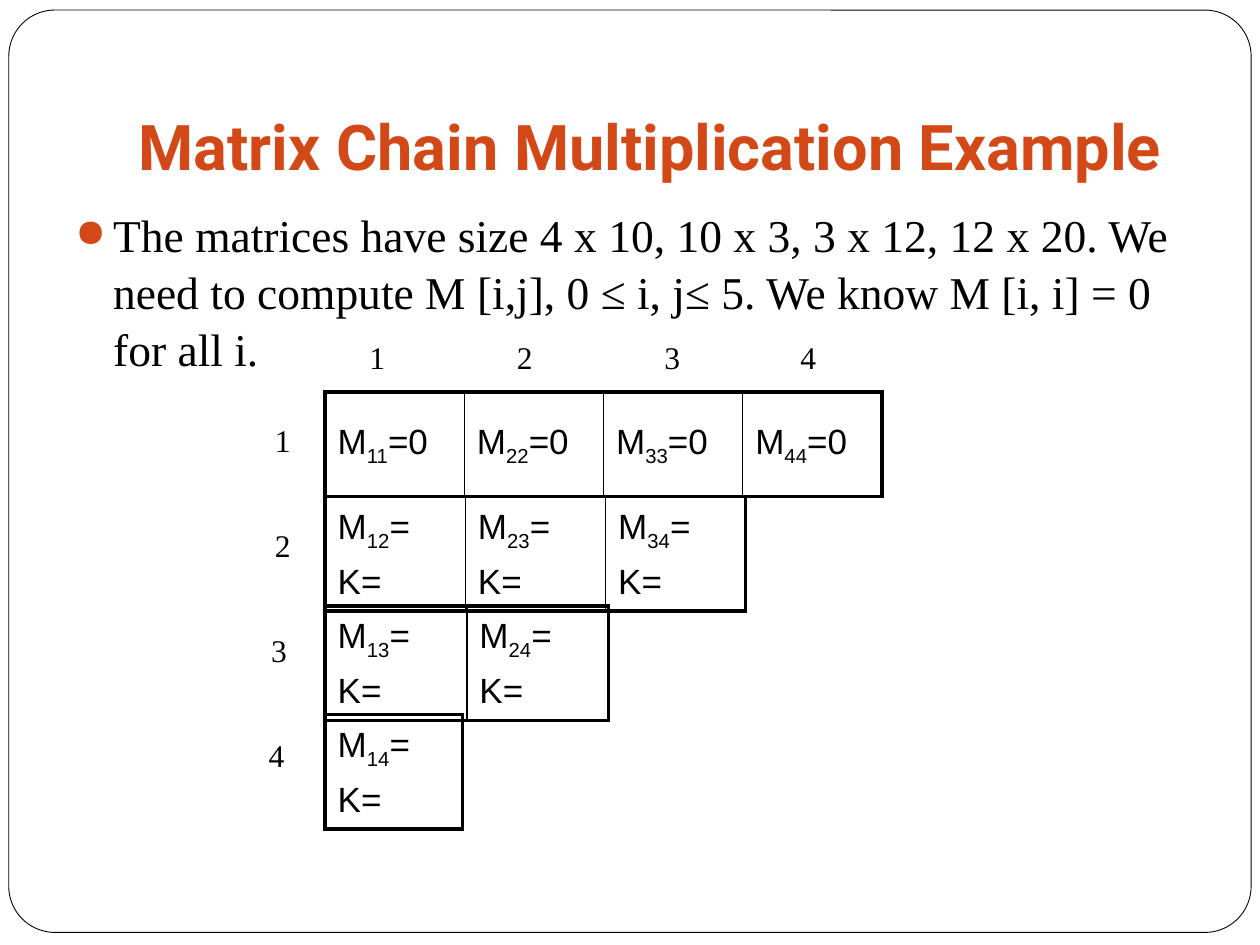
from lxml import etree
from pptx import Presentation
from pptx import util as u
from pptx.dml.color import RGBColor
from pptx.enum import shapes, text
from pptx.oxml import ns

INK, RUST, WHITE = "000000", "D34817", "FFFFFF"
SERIF = "Times New Roman"


def color(code):
    return RGBColor.from_string(code)


def put(item, vals):
    for key, val in vals.items():
        setattr(item, key, val)


def box(*nums):
    return [u.Inches(n) for n in nums]


def node(root, tag, **vals):
    return etree.SubElement(root, ns.qn(tag), vals)


class Deck:
    """Holds the style and the current slide."""

    def __init__(self):
        self.prs = Presentation()
        put(self.prs, {"slide_width": u.Inches(10), "slide_height": u.Inches(7.5)})
        self.page = self.prs.slides.add_slide(self.prs.slide_layouts[5])

    def words(self, para, line, size, face=SERIF, ink=INK, bold=False):
        run = para.add_run()
        run.text = line
        put(run.font, {"size": u.Pt(size), "name": face, "bold": bold})
        run.font.color.rgb = color(ink)
        return run

    def shape(self, kind, spot, line, width):
        item = self.page.shapes.add_shape(kind, *box(*spot))
        item.shadow.inherit = False
        item.fill.solid()
        item.fill.fore_color.rgb = color(WHITE)
        item.line.color.rgb = color(line)
        item.line.width = u.Pt(width)
        return item

    def frame(self):
        item = self.shape(shapes.MSO_SHAPE.ROUNDED_RECTANGLE,
                          (0.07, 0.08, 9.86, 7.32), INK, 0.5)
        item.adjustments[0] = 0.05
        self.page.shapes._spTree.insert(2, item._element)

    def title(self, line):
        item = self.page.shapes.title
        names = ("left", "top", "width", "height")
        put(item, dict(zip(names, box(1, 0.3, 8.5, 1.25))))
        put(item.text_frame, {"vertical_anchor": text.MSO_ANCHOR.BOTTOM,
                              "auto_size": text.MSO_AUTO_SIZE.NONE,
                              "margin_bottom": u.Inches(0.1)})
        para = item.text_frame.paragraphs[0]
        para.alignment = text.PP_ALIGN.LEFT
        self.words(para, line, 36, "Roboto", RUST, True)

    def bullet(self, line):
        item = self.page.shapes.add_textbox(*box(0.5, 1.58, 9, 1.25))
        item.text_frame.word_wrap = True
        para = item.text_frame.paragraphs[0]
        put(para, {"space_before": u.Pt(5.8), "line_spacing": 1.04})
        props = para._p.get_or_add_pPr()
        props.set("marL", str(u.Inches(0.3)))
        props.set("indent", str(u.Inches(-0.3)))
        node(node(props, "a:buClr"), "a:srgbClr", val=RUST)
        node(props, "a:buSzPct", val="85000")
        node(props, "a:buChar", char="●")
        self.words(para, line, 26)

    def label(self, line, left, top):
        item = self.shape(shapes.MSO_SHAPE.RECTANGLE,
                          (left, top, 0.33, 0.33), WHITE, 0.75)
        put(item.text_frame, {"word_wrap": False,
                              "vertical_anchor": text.MSO_ANCHOR.MIDDLE})
        para = item.text_frame.paragraphs[0]
        para.alignment = text.PP_ALIGN.CENTER
        self.words(para, line, 18)

    def edges(self, cell, first, last):
        props = cell._tc.get_or_add_tcPr()
        wide = {"L": first, "R": last, "T": True, "B": True}
        for spot, (side, thick) in enumerate(wide.items()):
            line = node(props, f"a:ln{side}", w=str(u.Pt(2.25 if thick else 1)))
            node(node(line, "a:solidFill"), "a:srgbClr", val=INK)
            props.insert(spot, line)

    def fill(self, cell, parts, more):
        cell.fill.background()
        cell.vertical_anchor = text.MSO_ANCHOR.MIDDLE
        paras = [cell.text_frame.paragraphs[0]]
        if more:
            paras.append(cell.text_frame.add_paragraph())
            self.words(paras[1], more, 20, "Arial")
        for para in paras:
            put(para, {"line_spacing": 1.04, "space_before": u.Pt(5)})
        runs = [self.words(paras[0], part, 20, "Arial") for part in parts]
        runs[1]._r.get_or_add_rPr().set("baseline", "-25000")

    def band(self, step, count, top, width, height):
        grid = self.page.shapes.add_table(1, count, *box(2.58, top, width, height)).table
        put(grid, {"first_row": False, "horz_banding": False})
        for col in range(count):
            grid.columns[col].width = u.Inches(width / count)
            cell = grid.cell(0, col)
            tail, more = ("=", "K=") if step else ("=0", "")
            self.fill(cell, ("M", f"{col + 1}{col + 1 + step}", tail), more)
            self.edges(cell, col == 0, col == count - 1)


def main():
    deck = Deck()
    deck.frame()
    deck.title("Matrix Chain Multiplication Example")
    deck.bullet("The matrices have size 4 x 10, 10 x 3, 3 x 12, 12 x 20. "
                "We need to compute M [i,j], 0 ≤ i, j≤ 5. "
                "We know M [i, i] = 0 for all i.")
    bands = [(3.11, 4.42, 0.83), (3.94, 3.34, 0.89),
             (4.81, 2.25, 0.89), (5.67, 1.09, 0.89)]
    for step, band in enumerate(bands):
        deck.band(step, len(bands) - step, *band)
    for row, left in enumerate((2.08, 2.08, 2.05, 2.03)):
        deck.label(str(row + 1), left, 3.33 + row * 2.5 / 3)
    for col, left in enumerate((2.83, 4, 5.17, 6.25)):
        deck.label(str(col + 1), left, 2.67)
    deck.prs.save("out.pptx")


if __name__ == "__main__":
    main()
